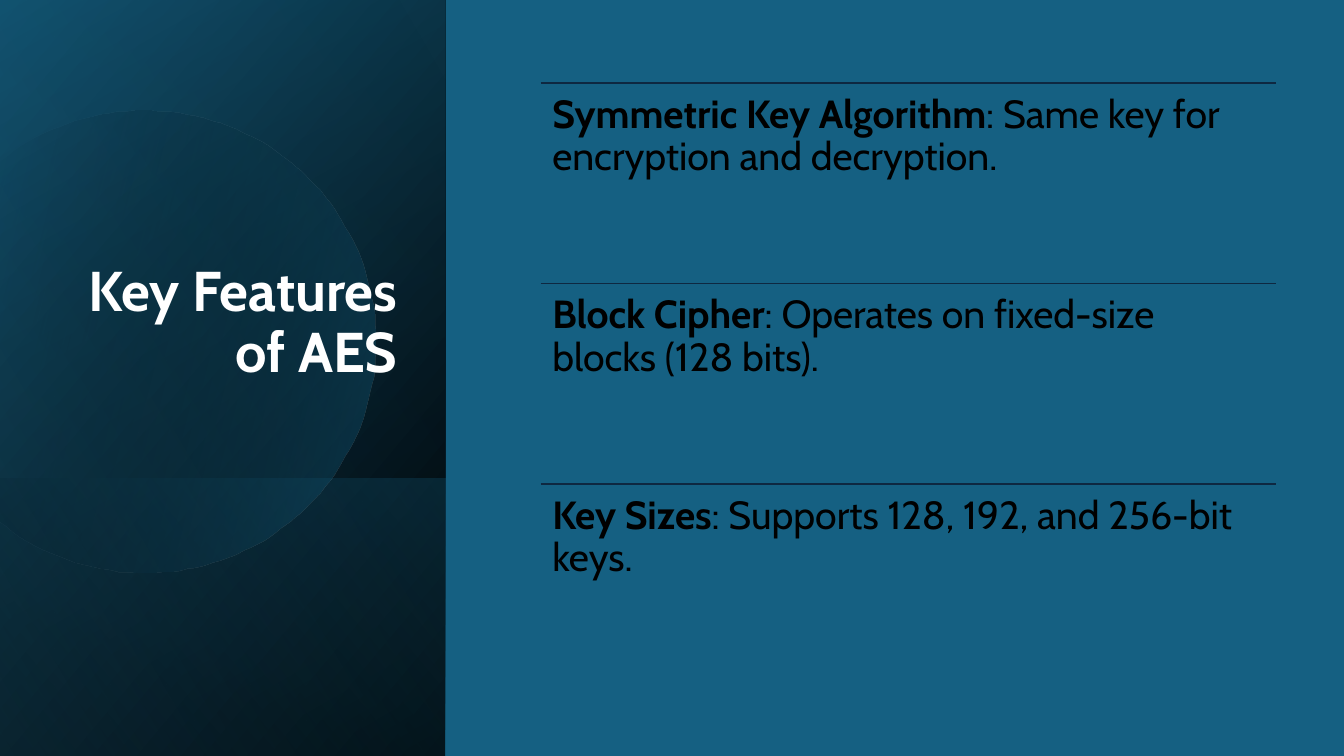
import math

import pptx
import pptx.dml.color
import pptx.enum.shapes
import pptx.enum.text
import pptx.oxml
import pptx.oxml.ns
import pptx.util

RGB = pptx.dml.color.RGBColor
TEAL = RGB(0x15, 0x60, 0x82)
DEEP = RGB(0x10, 0x48, 0x62)
SKY = RGB(0x46, 0xB1, 0xE1)
NAVY = RGB(0x0E, 0x28, 0x41)
BLACK = RGB(0, 0, 0)
WHITE = RGB(255, 255, 255)

WIDE, HIGH = 1280, 720
SIDE = 424  # width of the dark panel
ITEMS = [
    ("Symmetric Key Algorithm", ": Same key for encryption and decryption."),
    ("Block Cipher", ": Operates on fixed-size blocks (128 bits)."),
    ("Key Sizes", ": Supports 128, 192, and 256-bit keys."),
]


def px(num):
    return pptx.util.Emu(num * 9525)


class Deck:
    def __init__(self, font):
        self.font = font
        self.prs = pptx.Presentation()
        self.prs.slide_width, self.prs.slide_height = px(WIDE), px(HIGH)
        self.slide = self.prs.slides.add_slide(self.prs.slide_layouts[5])
        self.shapes = self.slide.shapes

    def rect(self, x, y, w, h):
        kind = pptx.enum.shapes.MSO_SHAPE.RECTANGLE
        return self.plain(self.shapes.add_shape(kind, px(x), px(y), px(w), px(h)))

    def plain(self, shape):
        """Drop the shadow and the outline."""
        shape.shadow.inherit = False
        shape.line.fill.background()
        return shape

    def fade(self, shape, angle, start, end):
        """Fill with a gradient between two (colour, opacity percent) stops."""
        stops = "".join(
            f'<a:gs pos="{pos}"><a:srgbClr val="{color}">'
            f'<a:alpha val="{alpha * 1000}"/></a:srgbClr></a:gs>'
            for pos, (color, alpha) in ((0, start), (100000, end)))
        grad = pptx.oxml.parse_xml(
            f'<a:gradFill {pptx.oxml.ns.nsdecls("a")} rotWithShape="1">'
            f'<a:gsLst>{stops}</a:gsLst>'
            f'<a:lin ang="{angle * 60000}" scaled="0"/></a:gradFill>')
        shape.fill.background()
        props = shape._element.spPr
        props.replace(props.find(pptx.oxml.ns.qn("a:noFill")), grad)

    def panel(self, y, h, angle, start, end):
        """Add a side panel: a flipped rectangle on its end."""
        shape = self.rect((SIDE - h) // 2, y + (h - SIDE) // 2, h, SIDE)
        shape.rotation = 90
        shape._element.spPr.xfrm.set("flipH", "1")
        self.fade(shape, angle, start, end)

    def disc(self, x, y, radius, angle, start, end):
        """Add a circle cut off by the slide's left edge."""
        reach = math.acos(-x / radius)
        turns = [reach * step / 60 for step in range(-60, 61)]
        spots = [(max(0, x + radius * math.cos(turn)), y + radius * math.sin(turn))
                 for turn in turns]
        path = self.shapes.build_freeform(*spots[0], scale=px(1))
        path.add_line_segments(spots[1:], close=True)
        self.fade(self.plain(path.convert_to_shape()), angle, start, end)

    def title(self, text, x, y, w, h):
        shape = self.shapes.title
        self.shapes._spTree.append(shape._element)
        shape.left, shape.top, shape.width, shape.height = map(px, (x, y, w, h))
        frame = shape.text_frame
        frame.text = text
        frame.word_wrap = True
        frame.auto_size = pptx.enum.text.MSO_AUTO_SIZE.NONE
        frame.vertical_anchor = pptx.enum.text.MSO_ANCHOR.BOTTOM
        frame.margin_bottom = px(63)
        para = frame.paragraphs[0]
        para.alignment = pptx.enum.text.PP_ALIGN.RIGHT
        self.style(para, 40, WHITE)
        para.font.bold = True

    def style(self, para, size, color):
        para.line_spacing = 0.9
        para.font.name = self.font
        para.font.size = pptx.util.Pt(size)
        para.font.color.rgb = color

    def rule(self, x, y, w):
        kind = pptx.enum.shapes.MSO_CONNECTOR.STRAIGHT
        line = self.shapes.add_connector(kind, px(x), px(y), px(x + w), px(y))
        line.line.color.rgb = NAVY
        line.line.width = pptx.util.Pt(1)
        line._element.spPr.append(
            pptx.oxml.parse_xml(f'<a:effectLst {pptx.oxml.ns.nsdecls("a")}/>'))

    def item(self, head, rest, x, y, w, h):
        frame = self.shapes.add_textbox(px(x), px(y), px(w), px(h)).text_frame
        frame.word_wrap = True
        frame.margin_left = frame.margin_right = px(11)
        frame.margin_top = frame.margin_bottom = px(11)
        para = frame.paragraphs[0]
        self.style(para, 28, BLACK)
        run = para.add_run()
        run.text = head
        run.font.bold = True
        para.add_run().text = rest


def main():
    deck = Deck("Cabin")
    back = deck.rect(0, 0, WIDE, HIGH)
    back.fill.solid()
    back.fill.fore_color.rgb = TEAL

    deck.panel(0, HIGH, 50, (BLACK, 100), (DEEP, 100))
    deck.panel(0, HIGH, 30, (BLACK, 0), (TEAL, 46))
    deck.panel(456, 264, 130, (TEAL, 29), (BLACK, 30))
    deck.disc(138, 325, 220, 14, (BLACK, 0), (TEAL, 43))
    deck.panel(0, HIGH, 120, (BLACK, 0), (SKY, 11))
    deck.title("Key Features of AES", 61, 177, 327, 252)

    left, top, wide, step = 515, 79, 700, 191
    for row, (head, rest) in enumerate(ITEMS):
        y = top + row * step
        deck.rule(left, y, wide)
        deck.item(head, rest, left, y, wide, step)
    deck.prs.save("out.pptx")


if __name__ == "__main__":
    main()
